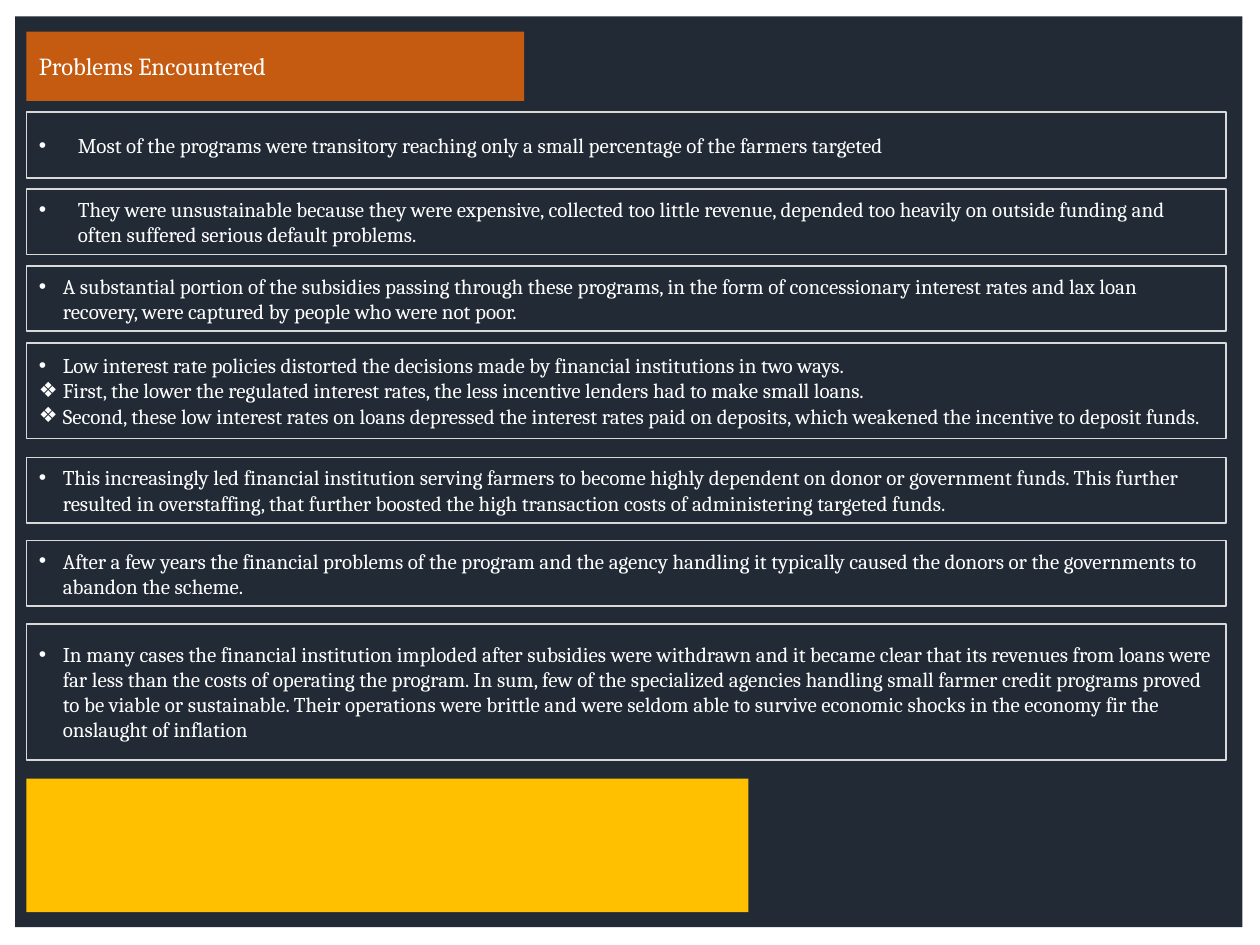
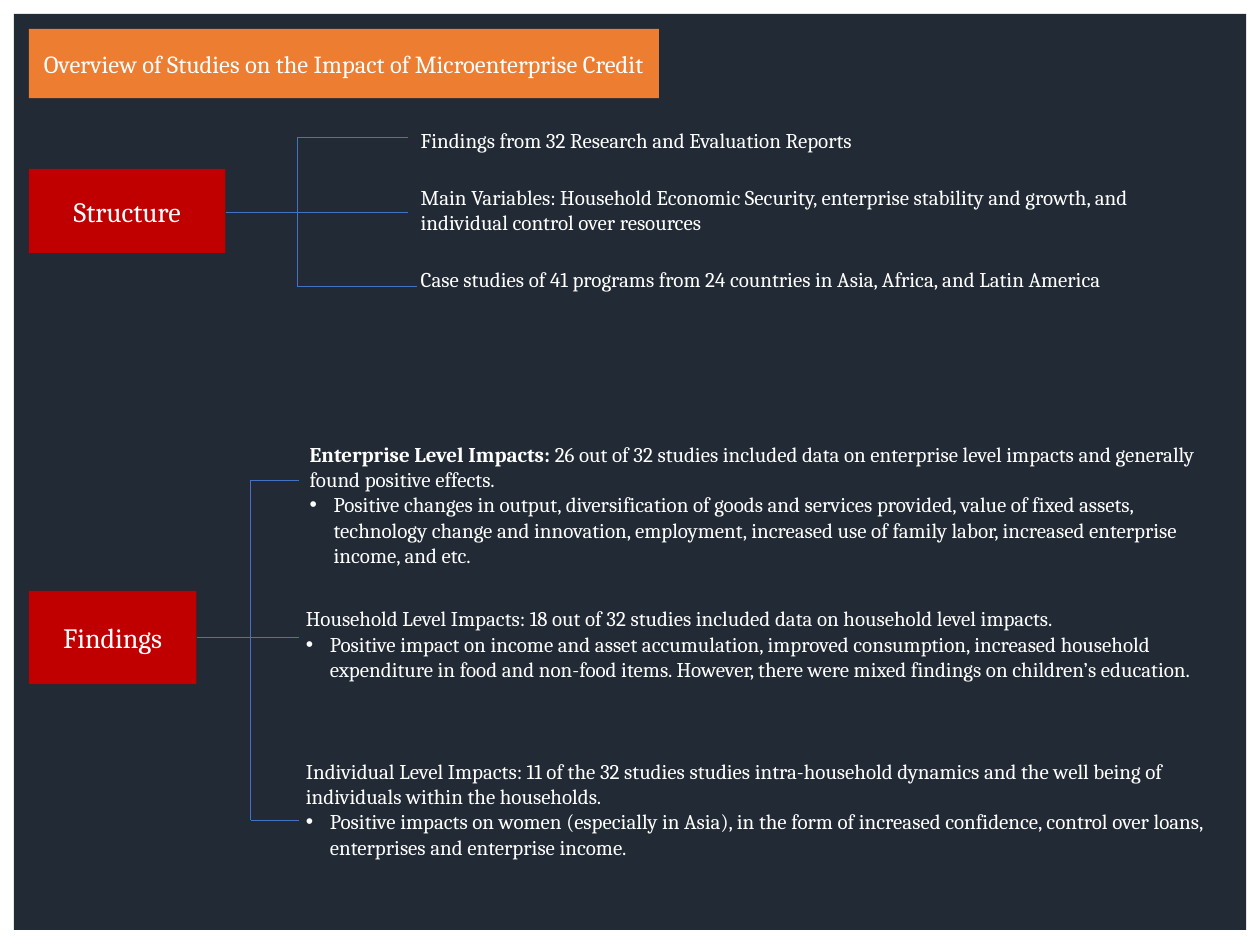
import pptx
import pptx.dml.color
import pptx.enum.shapes
import pptx.enum.text
import pptx.oxml.ns
import pptx.util
from lxml import etree

Inches = pptx.util.Inches
Pt = pptx.util.Pt
RGBColor = pptx.dml.color.RGBColor
RECTANGLE = pptx.enum.shapes.MSO_SHAPE.RECTANGLE
STRAIGHT = pptx.enum.shapes.MSO_CONNECTOR.STRAIGHT
MIDDLE = pptx.enum.text.MSO_ANCHOR.MIDDLE
LEFT = pptx.enum.text.PP_ALIGN.LEFT
CENTER = pptx.enum.text.PP_ALIGN.CENTER
qn = pptx.oxml.ns.qn

FONT = "Cambria"
WHITE = RGBColor(0xFF, 0xFF, 0xFF)
NAVY = RGBColor(0x22, 0x2A, 0x35)
RUST = RGBColor(0xC5, 0x5A, 0x11)
ORANGE = RGBColor(0xED, 0x7D, 0x31)
RED = RGBColor(0xC0, 0x00, 0x00)
YELLOW = RGBColor(0xFF, 0xC0, 0x00)
LIGHT_GRAY = RGBColor(0xD9, 0xD9, 0xD9)
BLUE = RGBColor(0x44, 0x72, 0xC4)

TITLE_SIZE, TOPIC_SIZE, BODY_SIZE = 14, 16, 12
TITLE_HEIGHT = 0.55
INDENT, WIDE_INDENT = 0.19, 0.31
DOT, DIAMOND = "•", "❖"

# A paragraph is (bullet, text) or (bullet, text, bold lead-in).
# A problem is (box height, gap below, indent, paragraphs).
PROBLEMS_TITLE = "Problems Encountered"
PROBLEMS = [
    (0.52, 0.09, WIDE_INDENT, [
        (DOT, "Most of the programs were transitory reaching only a small percentage of the "
              "farmers targeted")]),
    (0.52, 0.09, WIDE_INDENT, [
        (DOT, "They were unsustainable because they were expensive, collected too little "
              "revenue, depended too heavily on outside funding and often suffered serious "
              "default problems.")]),
    (0.52, 0.09, INDENT, [
        (DOT, "A substantial portion of the subsidies passing through these programs, in the "
              "form of concessionary interest rates and lax loan recovery, were captured by "
              "people who were not poor.")]),
    (0.76, 0.15, INDENT, [
        (DOT, "Low interest rate policies distorted the decisions made by financial "
              "institutions in two ways."),
        (DIAMOND, "First, the lower the regulated interest rates, the less incentive lenders "
                  "had to make small loans."),
        (DIAMOND, "Second, these low interest rates on loans depressed the interest rates paid "
                  "on deposits, which weakened the incentive to deposit funds.")]),
    (0.52, 0.14, INDENT, [
        (DOT, "This increasingly led financial institution serving farmers to become highly "
              "dependent on donor or government funds. This further resulted in overstaffing, "
              "that further boosted the high transaction costs of administering targeted "
              "funds.")]),
    (0.52, 0.14, INDENT, [
        (DOT, "After a few years the financial problems of the program and the agency handling "
              "it typically caused the donors or the governments to abandon the scheme.")]),
    (1.08, 0.15, INDENT, [
        (DOT, "In many cases the financial institution imploded after subsidies were withdrawn "
              "and it became clear that its revenues from loans were far less than the costs of "
              "operating the program. In sum, few of the specialized agencies handling small "
              "farmer credit programs proved to be viable or sustainable. Their operations were "
              "brittle and were seldom able to survive economic shocks in the economy fir the "
              "onslaught of inflation")]),
]

# A detail is (place, branch height on the slide, branch end, paragraphs).
OVERVIEW_TITLE = "Overview of Studies on the Impact of Microenterprise Credit"
TOPICS = [
    {"name": "Structure", "place": (0.23, 1.34, 1.56, 0.67), "spine": 2.36, "stem": 1.69,
     "details": [
         ((3.24, 0.88, 6.15, 0.46), 1.09, 3.24, [
             (None, "Findings from 32 Research and Evaluation Reports")]),
         ((3.24, 1.47, 6.15, 0.39), 1.69, 3.24, [
             (None, "Main Variables: Household Economic Security, enterprise stability and "
                    "growth, and individual control over resources")]),
         ((3.24, 2.0, 6.15, 0.43), 2.27, 3.31, [
             (None, "Case studies of 41 programs from 24 countries in Asia, Africa, and Latin "
                    "America")]),
     ]},
    {"name": "Findings", "place": (0.23, 4.69, 1.33, 0.74), "spine": 1.99, "stem": 5.06,
     "details": [
         ((2.36, 3.39, 7.3, 1.23), 3.81, 2.37, [
             (None, "26 out of 32 studies included data on enterprise level impacts and "
                    "generally found positive effects.", "Enterprise Level Impacts: "),
             (DOT, "Positive changes in output, diversification of goods and services provided, "
                   "value of fixed assets, technology change and innovation, employment, "
                   "increased use of family labor, increased enterprise income, and etc.")]),
         ((2.33, 4.88, 7.33, 0.46), 5.06, 2.37, [
             (None, "Household Level Impacts: 18 out of 32 studies included data on household "
                    "level impacts."),
             (DOT, "Positive impact on income and asset accumulation, improved consumption, "
                   "increased household expenditure in food and non-food items. However, there "
                   "were mixed findings on children’s education.")]),
         ((2.33, 5.99, 7.33, 0.86), 6.51, 2.37, [
             (None, "Individual Level Impacts: 11 of the 32 studies studies intra-household "
                    "dynamics and the well being of individuals within the households."),
             (DOT, "Positive impacts on women (especially in Asia), in the form of increased "
                   "confidence, control over loans, enterprises and enterprise income.")]),
     ]},
]


def add_bullet(paragraph, bullet, indent):
    properties = paragraph._p.get_or_add_pPr()
    properties.set("marL", str(Inches(indent)))
    properties.set("indent", str(-Inches(indent)))
    etree.SubElement(properties, qn("a:buFont")).set("typeface", "Arial")
    etree.SubElement(properties, qn("a:buChar")).set("char", bullet)


def write(shape, paragraphs, size=BODY_SIZE, align=LEFT, indent=INDENT):
    frame = shape.text_frame
    frame.word_wrap = True
    frame.vertical_anchor = MIDDLE
    for index, (bullet, text, *lead) in enumerate(paragraphs):
        paragraph = frame.add_paragraph() if index else frame.paragraphs[0]
        paragraph.alignment = align
        if bullet:
            add_bullet(paragraph, bullet, indent)
        for part in [*lead, text]:
            run = paragraph.add_run()
            run.text = part
            run.font.name = FONT
            run.font.size = Pt(size)
            run.font.bold = part in lead
            run.font.color.rgb = WHITE


def add_box(slide, place, fill=None, outline=None):
    box = slide.shapes.add_shape(RECTANGLE, *map(Inches, place))
    box.shadow.inherit = False
    if fill is None:
        box.fill.background()
    else:
        box.fill.solid()
        box.fill.fore_color.rgb = fill
    if outline is None:
        box.line.fill.background()
    else:
        box.line.color.rgb = outline
        box.line.width = Pt(1)
    return box


def add_line(slide, x1, y1, x2, y2):
    line = slide.shapes.add_connector(STRAIGHT, *map(Inches, (x1, y1, x2, y2)))
    line.line.color.rgb = BLUE
    line.line.width = Pt(0.5)
    etree.SubElement(line._element.spPr, qn("a:effectLst"))


def start_slide(deck, panel, title, title_place, title_fill, title_align):
    """Add a slide with its dark panel and title band."""
    slide = deck.slides.add_slide(deck.slide_layouts[6])
    add_box(slide, panel, NAVY)
    band = add_box(slide, (*title_place, TITLE_HEIGHT), title_fill)
    write(band, [(None, title)], TITLE_SIZE, title_align)
    return slide


def build_problems(deck):
    left, top, width = 0.21, 0.89, 9.52
    slide = start_slide(deck, (0.12, 0.13, 9.74, 7.23), PROBLEMS_TITLE,
                        (left, 0.25, 3.95), RUST, LEFT)
    for height, gap, indent, paragraphs in PROBLEMS:
        problem = add_box(slide, (left, top, width, height), outline=LIGHT_GRAY)
        write(problem, paragraphs, indent=indent)
        top += height + gap
    add_box(slide, (left, top, 5.73, 1.06), YELLOW)


def build_overview(deck):
    slide = start_slide(deck, (0.11, 0.11, 9.78, 7.27), OVERVIEW_TITLE,
                        (0.23, 0.23, 5), ORANGE, CENTER)
    for topic in TOPICS:
        left, _, width, _ = topic["place"]
        spine, stem, details = topic["spine"], topic["stem"], topic["details"]
        write(add_box(slide, topic["place"], RED), [(None, topic["name"])], TOPIC_SIZE, CENTER)
        for place, _, _, paragraphs in details:
            write(slide.shapes.add_textbox(*map(Inches, place)), paragraphs)
        add_line(slide, left + width, stem, spine, stem)
        add_line(slide, spine, details[0][1], spine, details[-1][1])
        for _, branch, end, _ in details:
            add_line(slide, spine, branch, end, branch)


def main():
    deck = pptx.Presentation()
    deck.slide_width, deck.slide_height = Inches(10), Inches(7.5)
    build_problems(deck)
    build_overview(deck)
    deck.save("out.pptx")


if __name__ == "__main__":
    main()
